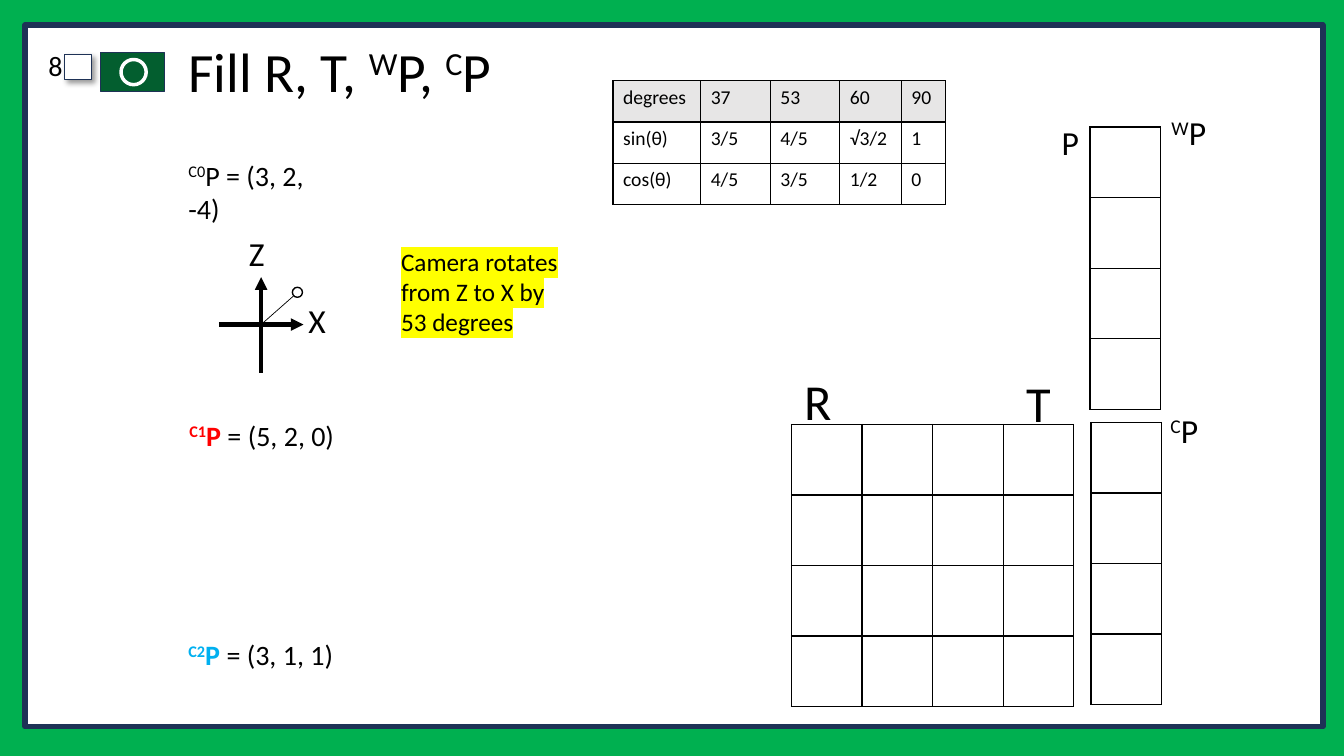
import pptx
import pptx.util
import pptx.dml.color
import pptx.enum.shapes
import pptx.enum.text
import pptx.oxml
import pptx.oxml.ns

Inches = pptx.util.Inches
Pt = pptx.util.Pt
RGBColor = pptx.dml.color.RGBColor
SHAPE = pptx.enum.shapes.MSO_SHAPE
ALIGN = pptx.enum.text.PP_ALIGN
ANCHOR = pptx.enum.text.MSO_ANCHOR

BLACK = RGBColor(0x00, 0x00, 0x00)
WHITE = RGBColor(0xFF, 0xFF, 0xFF)
GREEN = RGBColor(0x00, 0xB0, 0x50)
DARK = RGBColor(0x03, 0x5E, 0x2F)
NAVY = RGBColor(0x1E, 0x32, 0x56)
GREY = RGBColor(0xE7, 0xE6, 0xE6)
RED = RGBColor(0xFF, 0x00, 0x00)
BLUE = RGBColor(0x00, 0xB0, 0xF0)
YELLOW = RGBColor(0xFF, 0xFF, 0x00)

FONT = "Calibri"
CELL = 0.7
TRIG = [
    ["degrees", "37", "53", "60", "90"],
    ["sin(θ)", "3/5", "4/5", "√3/2", "1"],
    ["cos(θ)", "4/5", "3/5", "1/2", "0"],
]


def make(xml):
    """Turn a piece of DrawingML into an element."""
    return pptx.oxml.parse_xml(xml.replace(">", " " + pptx.oxml.ns.nsdecls("a") + ">", 1))


def add_run(para, text, size, color=BLACK, bold=False, sup=False, mark=None):
    run = para.add_run()
    run.text = text
    font = run.font
    font.name, font.size, font.bold = FONT, Pt(size), bold
    font.color.rgb = color
    props = run._r.get_or_add_rPr()
    if sup:
        props.set("baseline", "30000")
    if mark:
        glow = make(f'<a:highlight><a:srgbClr val="{mark}"/></a:highlight>')
        props.find(pptx.oxml.ns.qn("a:solidFill")).addnext(glow)


def add_text(slide, box, size, runs, wrap=True):
    """Each run is a pair of its text and its own settings."""
    frame = slide.shapes.add_textbox(*map(Inches, box)).text_frame
    frame.word_wrap = wrap
    para = frame.paragraphs[0]
    for text, look in runs:
        add_run(para, text, size, **look)
    return frame


def add_shape(slide, kind, box, fill, line, width):
    shape = slide.shapes.add_shape(kind, *map(Inches, box))
    shape.shadow.inherit = False
    shape.fill.solid()
    shape.fill.fore_color.rgb = fill
    shape.line.color.rgb = line
    shape.line.width = Pt(width)
    return shape


def add_shade(shape):
    old = shape._element.spPr.find(pptx.oxml.ns.qn("a:effectLst"))
    old.append(make(
        f'<a:outerShdw blurRad="{Pt(4)}" dist="{Pt(3)}" dir="2700000" algn="tl">'
        '<a:srgbClr val="000000"><a:alpha val="40000"/></a:srgbClr></a:outerShdw>'))


def add_line(slide, start, end, width, arrow=False):
    kind = pptx.enum.shapes.MSO_CONNECTOR.STRAIGHT
    line = slide.shapes.add_connector(kind, *map(Inches, start + end))
    line.line.color.rgb = BLACK
    line.line.width = Pt(width)
    if arrow:
        line.line._get_or_add_ln().append(make('<a:tailEnd type="triangle"></a:tailEnd>'))
    line._element.spPr.append(make("<a:effectLst></a:effectLst>"))


def add_grid(slide, left, top, cols, rows, words=None):
    """Draw a ruled table; with words, the first row is shaded."""
    size = map(Inches, (left, top, sum(cols), sum(rows)))
    table = slide.shapes.add_table(len(rows), len(cols), *size).table
    table.first_row = table.horz_banding = False
    for col, width in zip(table.columns, cols):
        col.width = Inches(width)
    for row, height in zip(table.rows, rows):
        row.height = Inches(height)
    for i in range(len(rows)):
        for j in range(len(cols)):
            cell = table.cell(i, j)
            props = cell._tc.get_or_add_tcPr()
            for side in "LRTB":
                props.append(make(
                    f'<a:ln{side} w="{Pt(1)}"><a:solidFill><a:srgbClr val="{BLACK}"/>'
                    f'</a:solidFill></a:ln{side}>'))
            if words and i == 0:
                cell.fill.solid()
                cell.fill.fore_color.rgb = GREY
            else:
                cell.fill.background()
            if words:
                add_run(cell.text_frame.paragraphs[0], words[i][j], 14)


def add_frame(slide):
    slide.background.fill.solid()
    slide.background.fill.fore_color.rgb = GREEN
    add_shape(slide, SHAPE.RECTANGLE, (0.25, 0.25, 12.87, 6.96), WHITE, NAVY, 4)
    check = add_shape(slide, SHAPE.RECTANGLE, (0.64, 0.54, 0.27, 0.25), WHITE, NAVY, 1)
    add_shade(check)
    add_shape(slide, SHAPE.RECTANGLE, (1, 0.52, 0.63, 0.39), DARK, NAVY, 1)
    add_shape(slide, SHAPE.OVAL, (1.2, 0.59, 0.25, 0.25), DARK, WHITE, 2.5)
    para = add_text(slide, (-0.02, 0.47, 0.74, 0.45), 20, [("8", {})]).paragraphs[0]
    para.alignment = ALIGN.RIGHT
    para.line_spacing, para.space_before = 0.9, Pt(10)


def add_axes(slide):
    add_line(slide, (2.59, 3.22), (2.93, 2.92), 0.5)
    add_line(slide, (2.59, 3.7), (2.59, 2.75), 3, arrow=True)
    add_line(slide, (2.17, 3.22), (3.01, 3.22), 3, arrow=True)
    add_shape(slide, SHAPE.OVAL, (2.9, 2.85, 0.1, 0.1), WHITE, BLACK, 1)
    add_text(slide, (2.37, 2.26, 0.89, 0.5), 24, [("Z", {})])
    add_text(slide, (2.96, 2.93, 0.96, 0.5), 24, [("X", {})])


def main():
    deck = pptx.Presentation()
    deck.slide_width, deck.slide_height = Inches(13.33), Inches(7.5)
    slide = deck.slides.add_slide(deck.slide_layouts[6])
    raised = {"sup": True}

    # Frame, number and title
    add_frame(slide)
    title = add_text(slide, (1.77, 0.4, 10.65, 0.68), 39.6, [
        ("Fill R, T, ", {}), ("W", raised), ("P, ", {}), ("C", raised), ("P", {})])
    title.vertical_anchor = ANCHOR.MIDDLE
    title.paragraphs[0].line_spacing = 0.9

    # Point in each camera frame
    for name, value, left, top, color, bold in [
        ("C0", "= (3, 2, -4)", 1.77, 1.52, BLACK, False),
        ("C1", "= (5, 2, 0)", 1.78, 4.1, RED, True),
        ("C2", "= (3, 1, 1)", 1.77, 6.28, BLUE, True),
    ]:
        look = {"color": color, "bold": bold}
        add_text(slide, (left, top, 1.67, 0.44), 20,
                 [(name, look | raised), ("P ", look), (value, {})], wrap=False)

    # Camera axes and rotation
    add_axes(slide)
    add_text(slide, (3.88, 2.39, 1.87, 1.01), 18,
             [("Camera rotates from Z to X by 53 degrees", {"mark": YELLOW})])

    # Matrix and vectors to fill in
    side = [CELL] * 4
    add_grid(slide, 7.85, 4.21, side, side)
    add_grid(slide, 10.81, 1.26, [CELL], side)
    add_grid(slide, 10.82, 4.19, [CELL], side)
    add_text(slide, (7.88, 3.62, 1.27, 0.71), 36, [("R", {})])
    add_text(slide, (10.08, 3.64, 1.27, 0.71), 36, [("T", {})])
    add_text(slide, (10.43, 1.16, 0.29, 0.5), 24, [("P", {})])
    add_text(slide, (11.52, 1.06, 1.27, 0.5), 24, [("W", raised), ("P", {})])
    add_text(slide, (11.51, 4.02, 1.05, 0.5), 24, [("C", raised), ("P", {})])

    # Sine and cosine values
    add_grid(slide, 6.08, 0.8, [0.87, 0.69, 0.69, 0.61, 0.44], [0.41] * 3, TRIG)

    deck.save("out.pptx")


if __name__ == "__main__":
    main()
